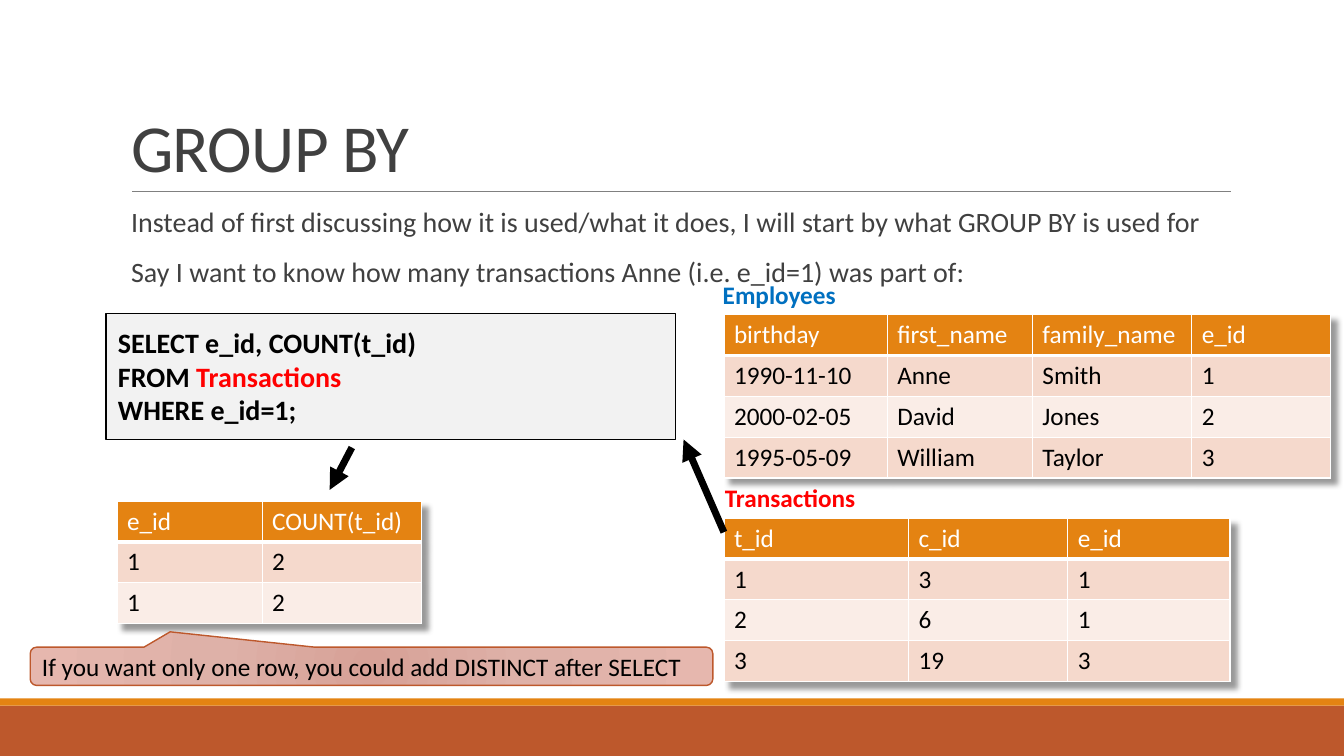
"""Build the GROUP BY slide: a query, its source tables and its result."""
from pptx import Presentation
from pptx.dml.color import RGBColor
from pptx.enum.shapes import MSO_CONNECTOR as CONN, MSO_SHAPE as SHAPE
from pptx.enum.text import MSO_ANCHOR as ANCHOR, MSO_AUTO_SIZE as AUTO, PP_ALIGN as ALIGN
from pptx.oxml import parse_xml
from pptx.oxml.ns import nsdecls
from pptx.util import Inches, Pt

C = dict(ink="404040", black="000000", white="FFFFFF", orange="E48312", rust="BD582C",
         rule="808080", code="F2F2F2", odd="F5D9CC", even="FAEDE7", blue="0070C0", red="FF0000")
W, H = 13.33, 7.5
ROW = 0.405
LEFT, RIGHT = 1.16, 7.18

TITLE = "GROUP BY"
BODY = [
    "Instead of first discussing how it is used/what it does, I will start by what GROUP BY is used for",
    "Say I want to know how many transactions Anne (i.e. e_id=1) was part of:",
]
QUERY = [
    [("SELECT e_id, COUNT(t_id)", "black")],
    [("FROM ", "black"), ("Transactions", "red")],
    [("WHERE e_id=1;", "black")],
]
NOTE = "If you want only one row, you could add DISTINCT after SELECT"
TABLES = [
    dict(at=(RIGHT, 3.12), cols=(1.62, 1.44, 1.58, 1.38), rows=[
        ("birthday", "first_name", "family_name", "e_id"),
        ("1990-11-10", "Anne", "Smith", "1"),
        ("2000-02-05", "David", "Jones", "2"),
        ("1995-05-09", "William", "Taylor", "3")]),
    dict(at=(RIGHT, 5.14), cols=(1.83, 1.58, 1.61), rows=[
        ("t_id", "c_id", "e_id"), ("1", "3", "1"), ("2", "6", "1"), ("3", "19", "3")]),
    dict(at=(LEFT, 4.97), cols=(1.44, 1.58), rows=[
        ("e_id", "COUNT(t_id)"), ("1", "2"), ("1", "2")]),
]
LABELS = [("Employees", "blue", (7.07, 2.72, 1.33, 0.4)),
          ("Transactions", "red", (7.09, 4.74, 1.51, 0.4))]
ARROWS = [((7.18, 5.28), (6.78, 4.36)), ((3.49, 4.44), (3.27, 4.86))]
BARS = [("rust", (0, H * 14 / 15, W, H / 15)), ("orange", (0, 6.93, W, 0.07))]
GRADIENT = [(0, "D7A197"), (45, "DEB1A8"), (100, "E6B7AE")]


def rgb(name):
    return RGBColor.from_string(C[name])


def inches(values):
    return [Inches(v) for v in values]


def xml(tag, inner="", attrs=""):
    return parse_xml(f'<a:{tag} {nsdecls("a")} {attrs}>{inner}</a:{tag}>')


def set_all(obj, **values):
    for key, value in values.items():
        setattr(obj, key, value)


def add_run(p, text, color, size=18, bold=False):
    r = p.add_run()
    r.text = text
    set_all(r.font, name="Calibri", size=Pt(size), bold=bold)
    r.font.color.rgb = rgb(color)
    return r


def add_box(s, kind, at, fill=None, line=None):
    sp = s.shapes.add_shape(kind, *inches(at))
    sp.shadow.inherit = False
    if fill:
        sp.fill.solid()
        sp.fill.fore_color.rgb = rgb(fill)
    if line:
        sp.line.color.rgb = rgb(line)
        sp.line.width = Pt(1)
    else:
        sp.line.fill.background()
    return sp


def add_line(s, start, end, color, width, arrow=False):
    cx = s.shapes.add_connector(CONN.STRAIGHT, *inches(start + end))
    cx.line.color.rgb = rgb(color)
    cx.line.width = Pt(width)
    if arrow:
        cx.line._get_or_add_ln().append(xml("tailEnd", attrs='type="triangle"'))
    cx._element.spPr.append(xml("effectLst"))


def place(sp, at, **frame):
    set_all(sp, **dict(zip(("left", "top", "width", "height"), inches(at))))
    set_all(sp.text_frame, word_wrap=True, auto_size=AUTO.NONE, **frame)
    return sp.text_frame


def add_headings(s):
    tf = place(s.shapes.title, (1.2, 0.31, 11, 1.59), vertical_anchor=ANCHOR.BOTTOM)
    p = tf.paragraphs[0]
    set_all(p, alignment=ALIGN.LEFT, line_spacing=0.85)
    add_run(p, TITLE, "ink", 48).font._element.set("spc", "-50")

    tf = place(s.placeholders[1], (1.2, 2.02, 11.29, 4.4), margin_left=0, margin_right=0)
    for i, text in enumerate(BODY):
        p = tf.add_paragraph() if i else tf.paragraphs[0]
        pPr = p._p.get_or_add_pPr()
        pPr.set("marL", str(Inches(0.1)))
        pPr.set("indent", str(-Inches(0.1)))
        pPr.append(xml("buClr", f'<a:srgbClr val="{C["orange"]}"/>'))
        pPr.append(xml("buChar", attrs='char=" "'))
        set_all(p, line_spacing=0.9, space_before=Pt(12 if i else 0), space_after=Pt(2))
        add_run(p, text, "ink", 20)


def add_query(s):
    tf = add_box(s, SHAPE.RECTANGLE, (1.05, 3.11, 5.65, 1.25), "code", "black").text_frame
    pad = Inches(0.12)
    set_all(tf, word_wrap=True, vertical_anchor=ANCHOR.TOP,
            margin_left=pad, margin_right=pad, margin_top=pad, margin_bottom=pad)
    for i, parts in enumerate(QUERY):
        p = tf.add_paragraph() if i else tf.paragraphs[0]
        p.alignment = ALIGN.LEFT
        for text, color in parts:
            add_run(p, text, color, 20, True)


def add_table(s, at, cols, rows):
    size = (sum(cols), ROW * len(rows))
    table = s.shapes.add_table(len(rows), len(cols), *inches(at + size)).table
    shadow = xml("effectLst", '<a:outerShdw blurRad="50800" dist="76200" dir="2700000" algn="tl" '
                 'rotWithShape="0"><a:prstClr val="black"><a:alpha val="40000"/></a:prstClr></a:outerShdw>')
    table._tbl.tblPr.insert(0, shadow)
    for column, width in zip(table.columns, cols):
        column.width = Inches(width)
    for i, row in enumerate(rows):
        table.rows[i].height = Inches(ROW)
        for j, text in enumerate(row):
            cell = table.cell(i, j)
            tcPr = cell._tc.get_or_add_tcPr()
            for side in "LRTB":
                heavy = (i, side) in ((0, "B"), (1, "T"))
                tcPr.append(xml(f"ln{side}", f'<a:solidFill><a:srgbClr val="{C["white"]}"/></a:solidFill>',
                                f'w="{Pt(3 if heavy else 1)}"'))
            cell.fill.solid()
            cell.fill.fore_color.rgb = rgb(("odd" if i % 2 else "even") if i else "orange")
            add_run(cell.text_frame.paragraphs[0], text, "black" if i else "white")


def add_label(s, text, color, at):
    tf = s.shapes.add_textbox(*inches(at)).text_frame
    tf.word_wrap = False
    add_run(tf.paragraphs[0], text, color, bold=True)


def add_note(s):
    sp = add_box(s, SHAPE.ROUNDED_RECTANGULAR_CALLOUT, (0.3, 6.42, 6.77, 0.38), line="rust")
    for i, value in enumerate((-0.295, -0.9, 0.167)):
        sp.adjustments[i] = value
    stops = "".join(f'<a:gs pos="{pos * 1000}"><a:srgbClr val="{color}"/></a:gs>' for pos, color in GRADIENT)
    focus = " ".join(f'{side}="100000"' for side in "ltrb")
    sp._element.spPr.prstGeom.addnext(xml(
        "gradFill", f'<a:gsLst>{stops}</a:gsLst><a:path path="circle"><a:fillToRect {focus}/></a:path>'))
    tf = sp.text_frame
    set_all(tf, word_wrap=True, vertical_anchor=ANCHOR.MIDDLE)
    tf.paragraphs[0].alignment = ALIGN.LEFT
    add_run(tf.paragraphs[0], NOTE, "black")


def main():
    prs = Presentation()
    prs.slide_width, prs.slide_height = inches((W, H))
    s = prs.slides.add_slide(prs.slide_layouts[1])
    for color, at in BARS:
        add_box(s, SHAPE.RECTANGLE, at, color)
    add_line(s, (1.31, 1.9), (12.21, 1.9), "rule", 0.5)
    add_headings(s)
    add_query(s)
    for table in TABLES:
        add_table(s, **table)
    for label in LABELS:
        add_label(s, *label)
    for start, end in ARROWS:
        add_line(s, start, end, "black", 5, True)
    add_note(s)
    prs.save("out.pptx")


if __name__ == "__main__":
    main()
